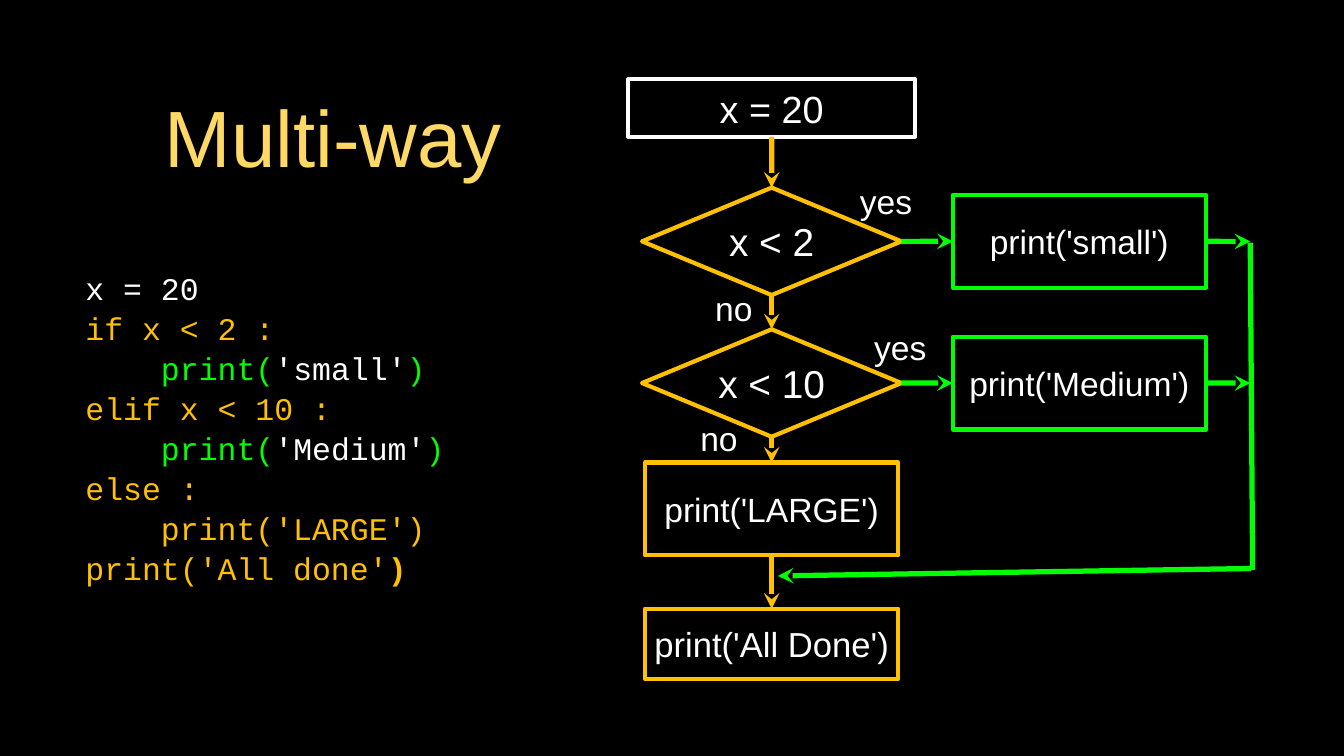
"""Build the "Multi-way" slide: Python code beside its if/elif/else flowchart."""
from lxml import etree
from pptx import Presentation
from pptx.dml.color import RGBColor
from pptx.enum.shapes import MSO_CONNECTOR, MSO_SHAPE
from pptx.enum.text import MSO_ANCHOR, PP_ALIGN
from pptx.oxml.ns import qn
from pptx.util import Cm, Pt

BLACK = RGBColor(0x00, 0x00, 0x00)
WHITE = RGBColor(0xFF, 0xFF, 0xFF)
YELLOW = RGBColor(0xFF, 0xD9, 0x66)
AMBER = RGBColor(0xFF, 0xC0, 0x00)
GREEN = RGBColor(0x00, 0xFF, 0x00)
RECTANGLE, DIAMOND = MSO_SHAPE.RECTANGLE, MSO_SHAPE.DIAMOND
STRAIGHT = MSO_CONNECTOR.STRAIGHT
MIDDLE = MSO_ANCHOR.MIDDLE
CENTER, LEFT = PP_ALIGN.CENTER, PP_ALIGN.LEFT
TOP_SIDE, LEFT_SIDE, BOTTOM_SIDE, RIGHT_SIDE = range(4)

TITLE = "Multi-way"
CODE = [
    [("x = 20", WHITE)],
    [("if x < 2 :", AMBER)],
    [("    ", WHITE), ("print(", GREEN), ("'small'", WHITE), (")", GREEN)],
    [("elif x < 10 :", AMBER)],
    [("    ", WHITE), ("print(", GREEN), ("'Medium'", WHITE), (")", GREEN)],
    [("else :", AMBER)],
    [("    print('LARGE')", AMBER)],
    [("print('All done'", AMBER), (")", AMBER)],
]

MAIN_X, BRANCH_X = 25.93, 36.27
FIRST_Y, SECOND_Y = 8.11, 12.87
DIAMOND_SIZE, BOX_SIZE = (8.71, 3.61), (8.51, 3.12)
STEPS = {
    "start": ("x = 20", RECTANGLE, MAIN_X, 3.63, (9.63, 1.93), WHITE, 36),
    "first test": ("x < 2", DIAMOND, MAIN_X, FIRST_Y, DIAMOND_SIZE, AMBER, 37),
    "small": ("print('small')", RECTANGLE, BRANCH_X, FIRST_Y, BOX_SIZE, GREEN, 32),
    "second test": ("x < 10", DIAMOND, MAIN_X, SECOND_Y, DIAMOND_SIZE, AMBER, 37),
    "medium": ("print('Medium')", RECTANGLE, BRANCH_X, SECOND_Y, BOX_SIZE, GREEN, 32),
    "large": ("print('LARGE')", RECTANGLE, MAIN_X, 17.1, BOX_SIZE, AMBER, 32),
    "done": ("print('All Done')", RECTANGLE, MAIN_X, 21.63, (8.51, 2.36), AMBER, 33),
}
DOWN_FLOW = ["start", "first test", "second test", "large", "done"]
BRANCHES = [("first test", "small"), ("second test", "medium")]
RAIL_TOP, RAIL_BOTTOM = (42.01, 8.15), (42.09, 19.15)
RETURN_START, RETURN_TIP = (42.04, 19.1), (26.14, 19.35)
ANSWERS = [("yes", 29.77, 6.76), ("no", 24.66, 10.36),
           ("yes", 30.25, 11.66), ("no", 24.16, 14.73)]
ANSWER_SIZE = (2.1, 1.37)


def centred(x, y, size):
    width, height = size
    return Cm(x - width / 2), Cm(y - height / 2), Cm(width), Cm(height)


def set_frame(frame, margin=0, wrap=True):
    frame.word_wrap = wrap
    frame.vertical_anchor = MIDDLE
    frame.margin_left = frame.margin_right = Cm(margin)
    frame.margin_top = frame.margin_bottom = Cm(margin)


def style_font(font, name, size, color):
    font.name, font.size = name, Pt(size)
    font.color.rgb = color


def write(frame, text, size, color=WHITE, margin=0, wrap=True):
    set_frame(frame, margin, wrap)
    frame.text = text
    paragraph = frame.paragraphs[0]
    paragraph.alignment = CENTER
    style_font(paragraph.runs[0].font, "Arial", size, color)


def add_step(slide, text, kind, x, y, size, color, points):
    step = slide.shapes.add_shape(kind, *centred(x, y, size))
    step.shadow.inherit = False
    step.fill.background()
    step.line.color.rgb = color
    step.line.width = Pt(4)
    write(step.text_frame, text, points, wrap=False)
    return step


def add_line(slide, color, start=(0, 0), end=(0, 0), arrow=True):
    line = slide.shapes.add_connector(STRAIGHT, *map(Cm, start + end))
    line.line.color.rgb = color
    line.line.width = Pt(5)
    properties = line._element.spPr
    if arrow:
        etree.SubElement(properties.find(qn("a:ln")), qn("a:tailEnd"), type="stealth")
    etree.SubElement(properties, qn("a:effectLst"))
    return line


def add_code(slide):
    code_box = slide.shapes.add_textbox(Cm(2.87), Cm(8.15), Cm(14.17), Cm(12.37))
    frame = code_box.text_frame
    set_frame(frame)
    for number, pieces in enumerate(CODE):
        paragraph = frame.add_paragraph() if number else frame.paragraphs[0]
        paragraph.alignment = LEFT
        paragraph.line_spacing = 1.06
        for text, color in pieces:
            run = paragraph.add_run()
            run.text = text
            style_font(run.font, "Courier New", 30, color)
    run.font.bold = True


def add_flowchart(slide):
    steps = {name: add_step(slide, *step) for name, step in STEPS.items()}
    for above, below in zip(DOWN_FLOW, DOWN_FLOW[1:]):
        arrow = add_line(slide, AMBER)
        arrow.begin_connect(steps[above], BOTTOM_SIDE)
        arrow.end_connect(steps[below], TOP_SIDE)
    for test, outcome in BRANCHES:
        arrow = add_line(slide, GREEN)
        arrow.begin_connect(steps[test], RIGHT_SIDE)
        arrow.end_connect(steps[outcome], LEFT_SIDE)
        to_rail = add_line(slide, GREEN, end=(RAIL_TOP[0], STEPS[outcome][3]))
        to_rail.begin_connect(steps[outcome], RIGHT_SIDE)
    add_line(slide, GREEN, RAIL_TOP, RAIL_BOTTOM, arrow=False)
    add_line(slide, GREEN, RETURN_START, RETURN_TIP)
    for text, x, y in ANSWERS:
        answer = slide.shapes.add_textbox(*centred(x, y, ANSWER_SIZE))
        write(answer.text_frame, text, 32)


def main():
    deck = Presentation()
    deck.slide_width, deck.slide_height = Cm(45.16), Cm(25.4)
    slide = deck.slides.add_slide(deck.slide_layouts[5])
    slide.background.fill.solid()
    slide.background.fill.fore_color.rgb = BLACK
    title = slide.shapes.title
    title.left, title.top, title.width, title.height = Cm(3.2), Cm(2.08), Cm(16), Cm(4.98)
    write(title.text_frame, TITLE, 76, YELLOW, margin=0.1)
    add_code(slide)
    add_flowchart(slide)
    deck.save("out.pptx")


if __name__ == "__main__":
    main()
